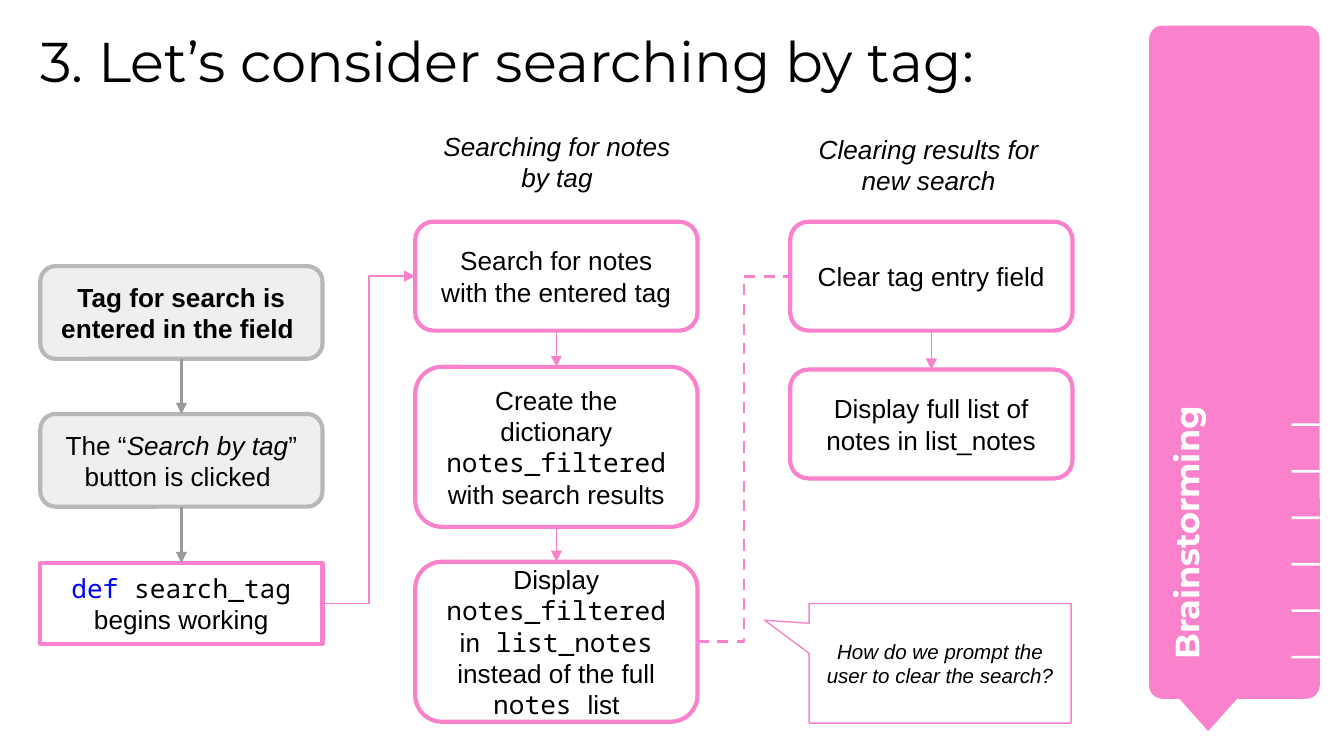
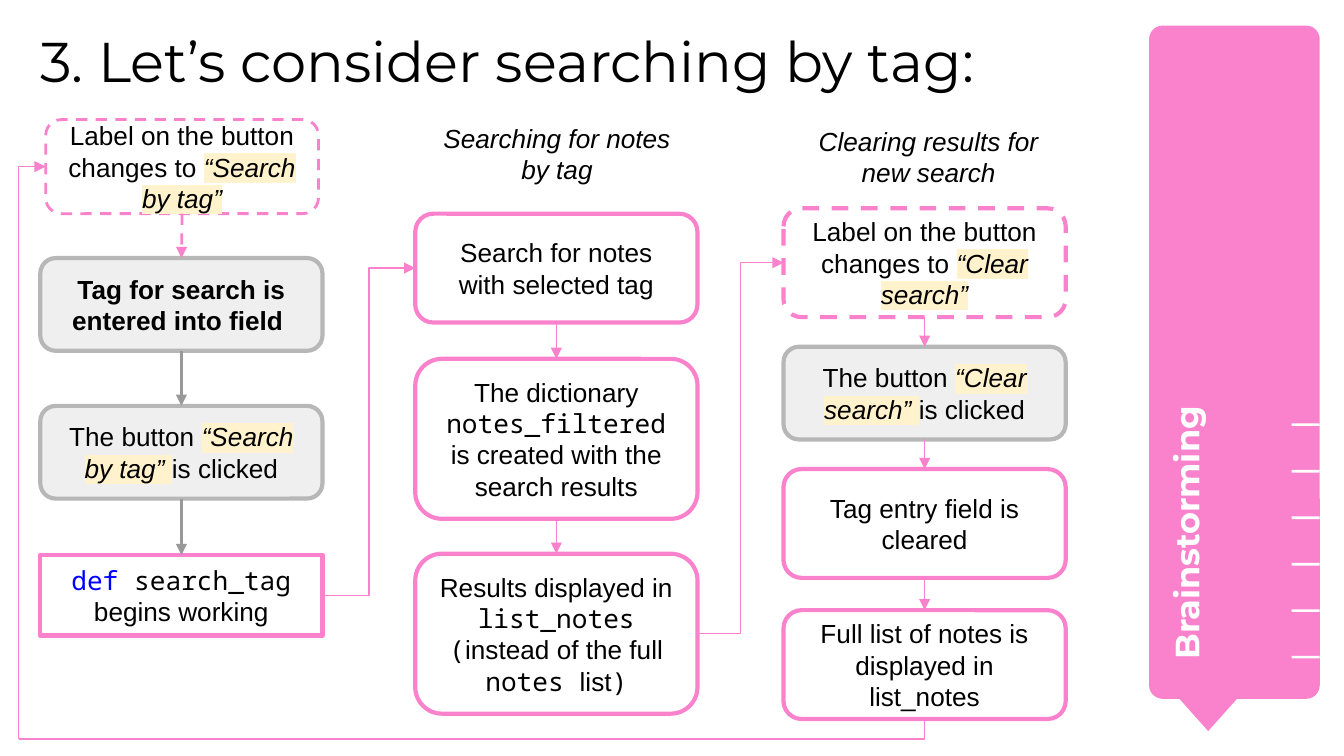
"""Build two flowchart slides about searching notes by tag."""
from lxml import etree
from pptx import Presentation
from pptx.dml.color import RGBColor
from pptx.enum.dml import MSO_LINE_DASH_STYLE as Dash
from pptx.enum.shapes import MSO_CONNECTOR as Link, MSO_SHAPE as Shape
from pptx.enum.text import MSO_ANCHOR as Anchor, PP_ALIGN as Align
from pptx.oxml.ns import qn
from pptx.util import Inches, Pt

PINK, WHITE, BLACK, BLUE = "FA82CC", "FFFFFF", "000000", "0000FF"
PALE, SILVER, GRAY, YELLOW = "EFEFEF", "B7B7B7", "999999", "FFF2CC"
SANS, MONO, DISPLAY = "Arial", "Noto Sans Mono", "Montserrat"

TITLE = "3. Let’s consider searching by tag:"
TAB_LABEL = "Brainstorming"
LEFT, MIDDLE, RIGHT, RIGHT_2 = 0.3, 3.09, 5.88, 5.83
BOX_WIDTH = 2.1

KINDS = {
    "def": (Shape.RECTANGLE, BOX_WIDTH, 0.6, WHITE, PINK, 2.25, False),
    "event": (Shape.ROUNDED_RECTANGLE, BOX_WIDTH, 0.69, PALE, SILVER, 2.25, False),
    "step": (Shape.FLOWCHART_ALTERNATE_PROCESS, BOX_WIDTH, 0.81, WHITE, PINK, 2.25, False),
    "tall": (Shape.FLOWCHART_ALTERNATE_PROCESS, BOX_WIDTH, 1.19, WHITE, PINK, 2.25, False),
    "change": (Shape.FLOWCHART_ALTERNATE_PROCESS, BOX_WIDTH, 0.81, WHITE, PINK, 2.25, True),
    "reset": (Shape.ROUNDED_RECTANGLE, 2.03, 0.7, WHITE, PINK, 1.5, True),
}
LINES = {
    "gray": (GRAY, 1.5, False, "tailEnd"),
    "pink": (PINK, 0.75, False, "tailEnd"),
    "dashed": (PINK, 1.5, True, "tailEnd"),
    "prompt": (PINK, 1.5, True, None),
    "return": (PINK, 0.75, False, "headEnd"),
    "plain": (PINK, 0.75, False, None),
}
SHARED_BOXES = {
    "enter": ("event", LEFT, 1.98),
    "click": ("event", LEFT, 3.08),
    "def": ("def", LEFT, 4.19),
    "search": ("step", MIDDLE, 1.65),
    "filter": ("tall", MIDDLE, 2.73),
    "show": ("tall", MIDDLE, 4.18),
}
SHARED_LINKS = [
    ("enter", "click", "gray"), ("click", "def", "gray"), ("def", "search", "pink"),
    ("search", "filter", "pink"), ("filter", "show", "pink"),
]
CAPTIONS = [
    (3.13, 0.87, 2.03, "Searching for notes by tag"),
    (5.84, 0.89, 2.14, "Clearing results for new search"),
]
DEF_RUNS = [("def", "mk"), (" search_tag ", "m"), ("begins working", "")]

SLIDES = [
    {
        "lift": 0,
        "caption_heights": (0.42, 0.42),
        "texts": {
            "enter": [("Tag for search is entered in the field ", "b")],
            "click": [("The “", ""), ("Search by tag", "i"), ("” button is clicked ", "")],
            "def": DEF_RUNS,
            "search": [("Search for notes with the entered tag", "")],
            "filter": [("Create the dictionary ", ""), ("notes_filtered", "m"),
                       (" with search results", "")],
            "show": [("Display ", ""), ("notes_filtered ", "m"), ("in", ""),
                     (" list_notes ", "m"), ("instead of the full ", ""),
                     ("notes ", "m"), ("list", "")],
            "clear": [("Clear tag entry field", "")],
            "full": [("Display full list of notes in list_notes", "")],
        },
        "boxes": {"clear": ("step", RIGHT, 1.65), "full": ("step", RIGHT, 2.75)},
        "links": [("clear", "full", "pink"), ("show", "clear", "prompt")],
        "callout": "How do we prompt the user to clear the search?",
    },
    {
        "lift": 0.06,
        "caption_heights": (0.6, 0.42),
        "texts": {
            "enter": [("Tag for search is entered into field ", "b")],
            "click": [("The button ", ""), ("“Search by tag” ", "ih"), ("is clicked", "")],
            "def": DEF_RUNS,
            "search": [("Search for notes with selected tag", "")],
            "filter": [("The dictionary ", ""), ("notes_filtered", "m"),
                       (" is created with the search results", "")],
            "show": [("Results displayed in ", ""), ("list_notes (", "m"),
                     ("instead of the full ", ""), ("notes ", "m"), ("list", ""),
                     (")", "m")],
            "relabel": [("Label on the button changes to ", ""), ("“Clear search”", "ih")],
            "click_clear": [("The button ", ""), ("“Clear search” ", "ih"),
                            ("is clicked", "")],
            "clear": [("Tag entry field is cleared", "")],
            "full": [("Full list of notes is displayed in list_notes", "")],
            "reset": [("Label on the button changes to ", ""), ("“Search by tag”", "ih")],
        },
        "boxes": {
            "relabel": ("change", RIGHT_2, 1.61),
            "click_clear": ("event", RIGHT_2, 2.64),
            "clear": ("step", RIGHT_2, 3.55),
            "full": ("step", RIGHT_2, 4.6),
            "reset": ("reset", 0.34, 0.95),
        },
        "links": [
            ("show", "relabel", "pink"), ("relabel", "click_clear", "pink"),
            ("click_clear", "clear", "pink"), ("clear", "full", "pink"),
            ("reset", "enter", "dashed"),
        ],
        "loop": ("full", "reset", 0.14, 5.5),
    },
]


def rgb(code):
    return RGBColor.from_string(code)


def add_run(p, text, size, font=SANS, color=BLACK, style=""):
    r = p.add_run()
    r.text = text
    f = r.font
    f.size = Pt(size)
    f.bold, f.italic = "b" in style, "i" in style
    f.color.rgb = rgb(BLUE if "k" in style else color)
    if "h" in style:
        highlight = etree.Element(qn("a:highlight"))
        etree.SubElement(highlight, qn("a:srgbClr"), val=YELLOW)
        r._r.get_or_add_rPr().find(qn("a:solidFill")).addnext(highlight)
    f.name = MONO if "m" in style else font


def prepare(tf, anchor, inset=0.1, align=Align.LEFT):
    tf.word_wrap = True
    tf.vertical_anchor = anchor
    tf.margin_left = tf.margin_right = tf.margin_top = tf.margin_bottom = Inches(inset)
    p = tf.paragraphs[0]
    p.alignment = align
    return p


def add_text(slide, x, y, w, h, inset=0.1, align=Align.LEFT):
    sp = slide.shapes.add_textbox(Inches(x), Inches(y), Inches(w), Inches(h))
    return sp, prepare(sp.text_frame, Anchor.TOP, inset, align)


def add_shape(shapes, preset, x, y, w, h, fill, line=None, width=0, dashed=False):
    sp = shapes.add_shape(preset, Inches(x), Inches(y), Inches(w), Inches(h))
    sp.shadow.inherit = False
    sp.fill.solid()
    sp.fill.fore_color.rgb = rgb(fill)
    if line:
        set_line(sp.line, line, width, dashed)
    else:
        sp.line.fill.background()
    return sp


def set_line(line, color, width, dashed):
    line.color.rgb = rgb(color)
    line.width = Pt(width)
    if dashed:
        line.dash_style = Dash.DASH


def add_link(slide, kind, style, x=0, y=0):
    color, width, dashed, arrow = LINES[style]
    cxn = slide.shapes.add_connector(kind, Inches(x), Inches(y), Inches(x), Inches(y))
    set_line(cxn.line, color, width, dashed)
    if arrow:
        etree.SubElement(cxn.line._get_or_add_ln(), qn("a:" + arrow), type="triangle")
    etree.SubElement(cxn._element.spPr, qn("a:effectLst"))
    return cxn


def join(slide, start, end, style):
    straight = abs(start.left - end.left) < Inches(0.1)
    cxn = add_link(slide, Link.STRAIGHT if straight else Link.ELBOW, style)
    cxn.begin_connect(start, 2 if straight else 3)
    cxn.end_connect(end, 0 if straight else 1)


def add_loop(slide, start, end, x, y):
    floor = add_link(slide, Link.ELBOW, "plain", x, y)
    floor.end_connect(start, 2)
    wall = add_link(slide, Link.ELBOW, "return", x, y)
    wall.begin_connect(end, 1)
    for cxn in (floor, wall):
        cxn._element.spPr.find(qn("a:prstGeom")).set("prst", "bentConnector2")


def add_frame(slide):
    tab = slide.shapes.add_group_shape().shapes
    body = add_shape(tab, Shape.ROUNDED_RECTANGLE, 8.55, 0.19, 1.27, 5.01, PINK)
    body.adjustments[0] = 0.08
    add_shape(tab, Shape.FLOWCHART_MERGE, 8.66, 5.07, 0.66, 0.37, PINK)
    label, p = add_text(slide, 7.14, 2.9, 3.54, 0.67)
    label.rotation = 270
    add_run(p, TAB_LABEL, 18, DISPLAY, WHITE, "b")
    for i in range(6):
        add_shape(slide.shapes, Shape.RECTANGLE, 9.61, 3.15 + 1.73 * i / 5, 0.21, 0.02, WHITE)
    _, p = add_text(slide, 0.3, 0.2, 8.07, 0.69, inset=0)
    add_run(p, TITLE, 30, DISPLAY)


def add_box(slide, kind, x, y, runs):
    preset, w, h, *look = KINDS[kind]
    sp = add_shape(slide.shapes, preset, x, y, w, h, *look)
    p = prepare(sp.text_frame, Anchor.MIDDLE, align=Align.CENTER)
    for text, style in runs:
        add_run(p, text, 14, style=style)
    return sp


def add_callout(slide, text):
    sp = add_shape(slide.shapes, Shape.ROUNDED_RECTANGULAR_CALLOUT,
                   6.02, 4.49, 1.95, 0.89, WHITE, PINK, 0.75)
    for i, value in enumerate((-0.67, -0.36, 0)):
        sp.adjustments[i] = value
    p = prepare(sp.text_frame, Anchor.MIDDLE, align=Align.CENTER)
    add_run(p, text, 11, style="i")


def build_slide(prs, data):
    slide = prs.slides.add_slide(prs.slide_layouts[6])
    add_frame(slide)
    lift = data["lift"]
    for (x, y, w, text), h in zip(CAPTIONS, data["caption_heights"]):
        _, p = add_text(slide, x, y - lift, w, h, align=Align.CENTER)
        add_run(p, text, 14, style="i")
    boxes = {
        name: add_box(slide, kind, x, y - lift, data["texts"][name])
        for name, (kind, x, y) in {**SHARED_BOXES, **data["boxes"]}.items()
    }
    for start, end, style in SHARED_LINKS + data["links"]:
        join(slide, boxes[start], boxes[end], style)
    if "loop" in data:
        start, end, x, y = data["loop"]
        add_loop(slide, boxes[start], boxes[end], x, y)
    if "callout" in data:
        add_callout(slide, data["callout"])


def main():
    prs = Presentation()
    prs.slide_width = Inches(10)
    prs.slide_height = prs.slide_width * 9 // 16
    for data in SLIDES:
        build_slide(prs, data)
    prs.save("out.pptx")


if __name__ == "__main__":
    main()
